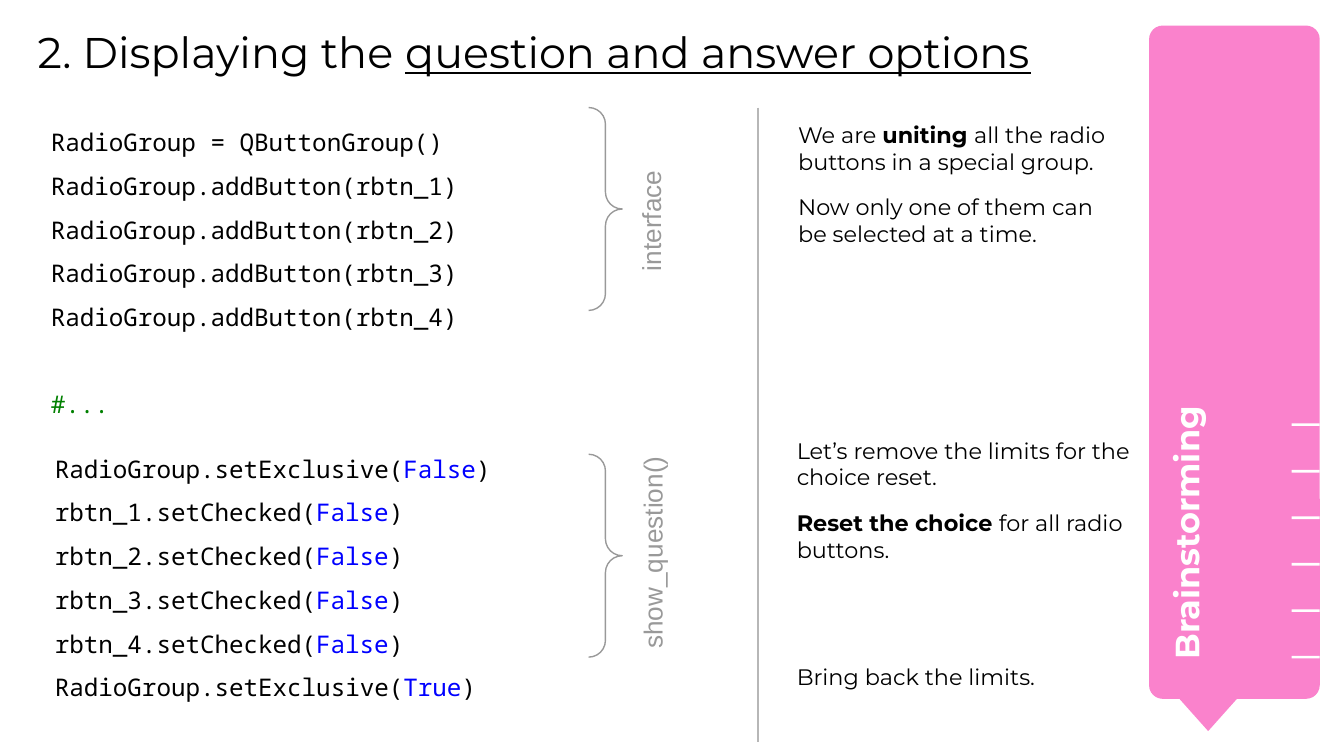
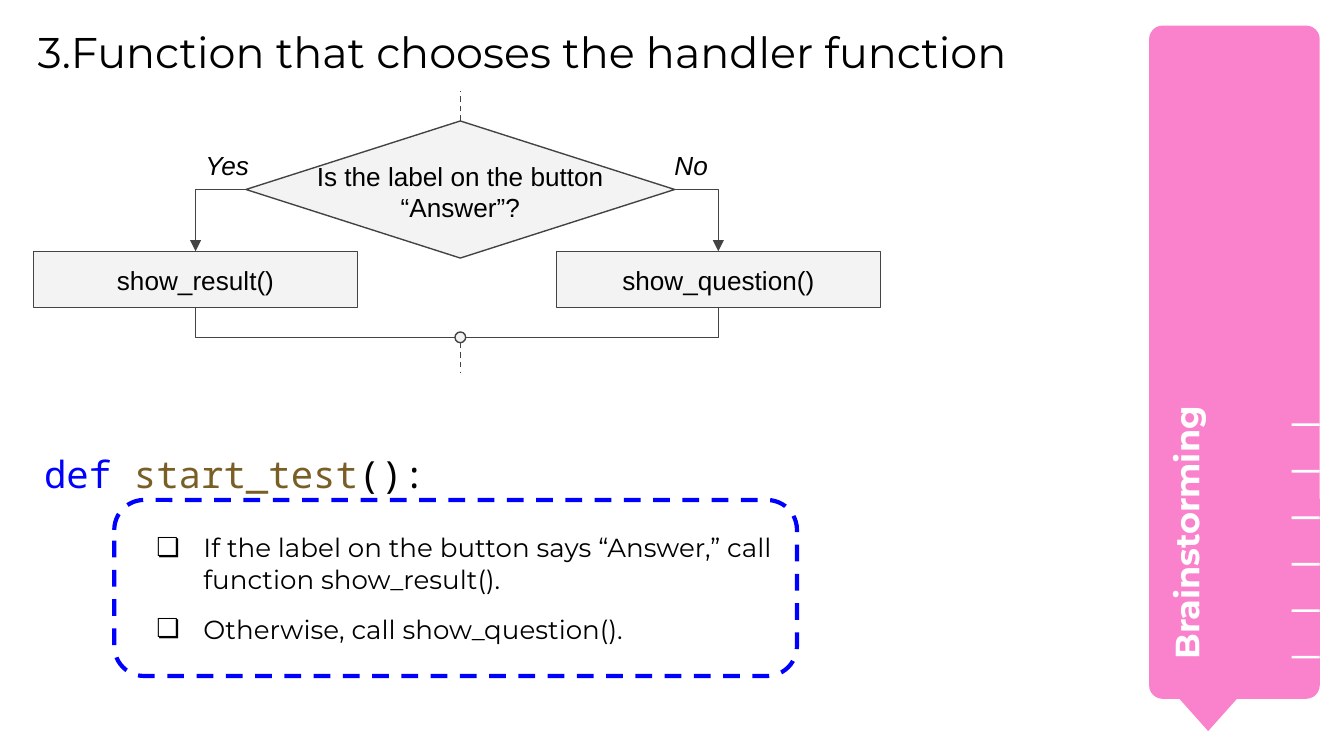
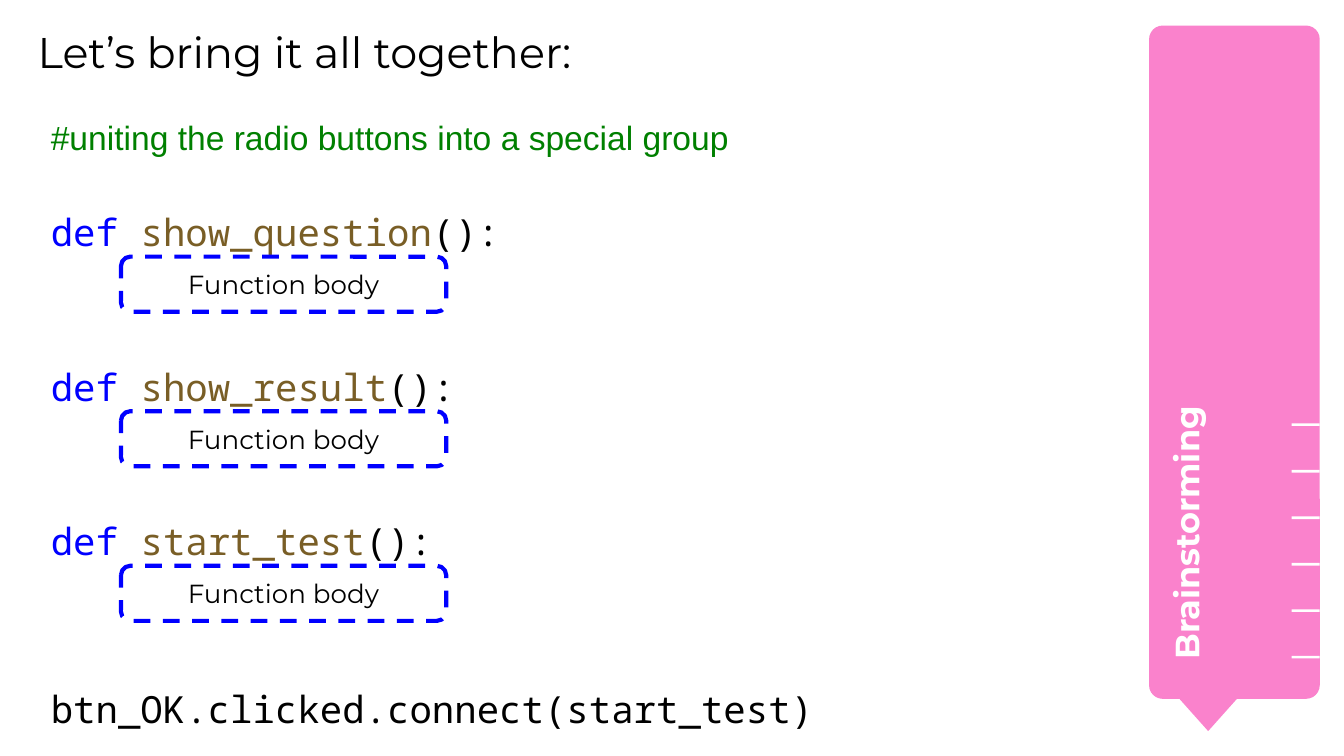
from dataclasses import dataclass
from lxml import etree
from pptx import Presentation
from pptx.dml.color import RGBColor
from pptx.enum.dml import MSO_LINE
from pptx.enum.shapes import MSO_CONNECTOR as CXN, MSO_SHAPE as SHAPE
from pptx.enum.text import MSO_ANCHOR as ANCHOR, PP_ALIGN as ALIGN
from pptx.oxml.ns import qn
from pptx.util import Inches, Pt

SLIDE_W = 10
SLIDE_H = SLIDE_W * 9 / 16
COLORS = {
    "black": "000000", "white": "FFFFFF", "pink": "FA82CC",
    "blue": "0000FF", "brown": "795E26", "green": "008000",
    "grey": "999999", "rule": "B7B7B7", "outline": "434343", "node": "F3F3F3",
}
HEAD, PLAIN, CODE = "Montserrat", "Arial", "Noto Sans Mono"


@dataclass
class Par:
    """A paragraph; runs are strings or (text, style) pairs."""
    runs: list
    before: float = 0
    after: float = 0
    margin: float = 0
    indent: float = 0
    bullet: str = ""


def rgb(name):
    return RGBColor.from_string(COLORS[name])


def sub(parent, tag, **attrs):
    return etree.SubElement(parent, qn(tag), **attrs)


def box(left, top, width, height):
    return [Inches(v) for v in (left, top, width, height)]


def add_run(p, text, font, size, color="black", bold=None, italic=None, underline=None):
    r = p.add_run()
    r.text = text
    f = r.font
    f.name, f.size = font, Pt(size)
    f.bold, f.italic, f.underline = bold, italic, underline
    f.color.rgb = rgb(color)


def format_paragraph(p, par, font, align, spacing):
    p.alignment = align
    p.line_spacing = spacing
    p.space_before, p.space_after = Pt(par.before), Pt(par.after)
    pPr = p._p.get_or_add_pPr()
    pPr.set("marL", str(Inches(par.margin)))
    pPr.set("indent", str(Inches(par.indent)))
    if par.bullet:
        sub(sub(pPr, "a:buClr"), "a:srgbClr", val=COLORS["black"])
        sub(pPr, "a:buFont", typeface=font)
        sub(pPr, "a:buChar", char=par.bullet)


def write(sp, pars, font, size, align=ALIGN.LEFT, spacing=None,
          inset=0.1, anchor=ANCHOR.TOP, **style):
    """Fill a shape with text; style holds the defaults for every run."""
    tf = sp.text_frame
    tf.word_wrap = True
    tf.vertical_anchor = anchor
    tf.margin_left = tf.margin_top = tf.margin_right = tf.margin_bottom = Inches(inset)
    for i, par in enumerate(pars):
        p = tf.add_paragraph() if i else tf.paragraphs[0]
        format_paragraph(p, par, font, align, spacing)
        for run in par.runs:
            text, own = (run, {}) if isinstance(run, str) else run
            add_run(p, text, font, size, **{**style, **own})


def add_text(s, at, pars, font, size, rotation=0, **options):
    sp = s.shapes.add_textbox(*box(*at))
    sp.rotation = rotation
    write(sp, pars, font, size, **options)


def add_box(shapes, kind, at, fill=None, line=None, width=0.75, adj=()):
    sp = shapes.add_shape(kind, *box(*at))
    sp.shadow.inherit = False
    for i, value in enumerate(adj):
        sp.adjustments[i] = value
    if fill:
        sp.fill.solid()
        sp.fill.fore_color.rgb = rgb(fill)
    else:
        sp.fill.background()
    if line:
        sp.line.color.rgb = rgb(line)
        sp.line.width = Pt(width)
    else:
        sp.line.fill.background()
    return sp


def add_line(s, start, end, color="outline", dashed=False, elbow=False, arrow=False):
    """Draw a connector; an elbow runs across first, then up or down."""
    kind = CXN.ELBOW if elbow else CXN.STRAIGHT
    cxn = s.shapes.add_connector(kind, *[Inches(v) for v in (*start, *end)])
    cxn.line.color.rgb = rgb(color)
    cxn.line.width = Pt(0.75)
    if dashed:
        cxn.line.dash_style = MSO_LINE.DASH
    spPr = cxn._element.spPr
    if elbow:
        spPr.find(qn("a:prstGeom")).set("prst", "bentConnector2")
    if arrow:
        sub(cxn.line._get_or_add_ln(), "a:tailEnd", type="triangle")
    sub(spPr, "a:effectLst")
    return cxn


def add_sidebar(s):
    group = s.shapes.add_group_shape()
    add_box(group.shapes, SHAPE.ROUNDED_RECTANGLE, (8.55, 0.19, 1.27, 5.01), "pink", adj=[0.08])
    add_box(group.shapes, SHAPE.FLOWCHART_MERGE, (8.66, 5.07, 0.66, 0.37), "pink")
    first, last, count = 3.15, 4.88, 6
    for i in range(count):
        top = first + i * (last - first) / (count - 1)
        add_box(s.shapes, SHAPE.RECTANGLE, (9.61, top, 0.21, 0.02), "white")
    add_text(s, (7.14, 2.9, 3.54, 0.67), [Par(["Brainstorming"])], HEAD, 18,
             rotation=270, color="white", bold=True)


def add_slide(prs, *title):
    s = prs.slides.add_slide(prs.slide_layouts[6])
    add_sidebar(s)
    add_text(s, (0.28, 0.19, 8.1, 0.56), [Par(title)], HEAD, 23, inset=0)
    return s


def add_brace(s, top, label, label_at):
    add_box(s.shapes, SHAPE.RIGHT_BRACE, (4.38, top, 0.25, 1.51), line="grey", adj=[0.5, 0.5])
    add_text(s, label_at, [Par([label])], PLAIN, 14, rotation=270, color="grey")


def add_def(s, left, top, name):
    runs = [("def ", {"color": "blue"}), (name, {"color": "brown"}), "():"]
    add_text(s, (left, top, 6.07, 0.79), [Par(runs)], CODE, 20, spacing=1.5)


def add_body_box(s, at, pars, align=ALIGN.LEFT):
    """Add the dashed frame that stands for a function body."""
    sp = add_box(s.shapes, SHAPE.ROUNDED_RECTANGLE, at, "white", "blue", 2.25, [0.17])
    sp.line.dash_style = MSO_LINE.DASH
    write(sp, pars, HEAD, 14, align=align, anchor=ANCHOR.MIDDLE)


def add_node(s, at, label):
    sp = add_box(s.shapes, SHAPE.RECTANGLE, at, "node", "outline")
    write(sp, [Par([label])], PLAIN, 14, align=ALIGN.CENTER, anchor=ANCHOR.MIDDLE)
    return sp


def setter(call, value):
    return Par([f"{call}(", (value, {"color": "blue"}), ")"], margin=0.11)


def build_display_slide(prs):
    s = add_slide(prs, "2. Displaying the ", ("question and answer options", {"underline": True}))
    bold = {"bold": True}
    add_text(s, (5.84, 0.8, 2.54, 1.54), [
        Par(["We are ", ("uniting ", bold), "all the radio buttons in a special group."]),
        Par(["Now only one of them can be selected at a time."], before=10),
    ], HEAD, 12)
    add_line(s, (5.64, 0.8), (5.64, 5.52), "rule")

    buttons = [f"rbtn_{n}" for n in range(1, 5)]
    reset = [setter("RadioGroup.setExclusive", "False")]
    reset += [setter(f"{b}.setChecked", "False") for b in buttons]
    reset += [setter("RadioGroup.setExclusive", "True")]
    add_text(s, (0.2, 3.17, 4.18, 1.87), reset, CODE, 13, spacing=1.5)
    add_text(s, (5.83, 3.15, 2.71, 2.04), [
        Par(["Let’s remove the limits for the choice reset."]),
        Par([("Reset the choice ", bold), "for all radio buttons."], before=10),
        Par(["Bring back the limits."], before=53.5),
    ], HEAD, 12)

    grouping = [Par(["RadioGroup = QButtonGroup()"])]
    grouping += [Par([f"RadioGroup.addButton({b})"]) for b in buttons]
    grouping += [Par([("#...", {"color": "green"})], before=23.4)]
    add_text(s, (0.28, 0.74, 3.48, 2.41), grouping, CODE, 13, spacing=1.5)

    add_brace(s, 0.8, "interface", (4.17, 1.2, 1.37, 0.46))
    add_brace(s, 3.38, "show_question()", (4.01, 3.84, 1.71, 0.46))


def build_handler_slide(prs):
    s = add_slide(prs, "3.Function that chooses the handler function")
    left, top, width, height = 1.83, 0.9, 3.19, 1.02
    axis, middle = left + width / 2, top + height / 2
    node_top, node_w, node_h = 1.87, 2.41, 0.42
    join_y, radius = 2.51, 0.04

    decision = add_box(s.shapes, SHAPE.FLOWCHART_DECISION, (left, top, width, height),
                       "node", "outline")
    add_text(s, (2.19, 1.09, 2.47, 0.63), [Par(["Is the label on the button “Answer”?"])],
             PLAIN, 14, align=ALIGN.CENTER)

    branches = [
        ("show_result()", 0.25, left, 1, axis - radius),
        ("show_question()", 4.14, left + width, 3, axis + radius),
    ]
    for label, node_left, corner, site, join_x in branches:
        node = add_node(s, (node_left, node_top, node_w, node_h), label)
        center = node_left + node_w / 2
        cxn = add_line(s, (corner, middle), (center, node_top), elbow=True, arrow=True)
        cxn.begin_connect(decision, site)
        cxn.end_connect(node, 0)
        cxn = add_line(s, (join_x, join_y), (center, node_top + node_h), elbow=True)
        cxn.end_connect(node, 2)

    entry = add_line(s, (axis, top), (axis, 0.68), dashed=True)
    entry.begin_connect(decision, 0)
    add_box(s.shapes, SHAPE.OVAL, (axis - radius, join_y - radius, 2 * radius, 2 * radius),
            "node", "outline")
    add_line(s, (axis, join_y + radius), (axis, 2.77), dashed=True)
    for label, x, w in (("Yes", 1.43, 0.59), ("No", 4.92, 0.67)):
        add_text(s, (x, 1.01, w, 0.42), [Par([label])], PLAIN, 14, italic=True)

    add_def(s, 0.23, 3.09, "start_test")
    bullet = {"margin": 0.5, "indent": -0.35, "bullet": "❏"}
    add_body_box(s, (0.85, 3.72, 5.08, 1.31), [
        Par(["If the label on the button says “Answer,” call function show_result()."], **bullet),
        Par(["Otherwise, call show_question()."], before=10, after=10, **bullet),
    ])


def build_summary_slide(prs):
    s = add_slide(prs, "Let’s bring it all together:")
    add_text(s, (0.28, 0.77, 5.66, 0.63),
             [Par(["#uniting the radio buttons into a special group"])], PLAIN, 18, color="green")
    for i, name in enumerate(["show_question", "show_result", "start_test"]):
        top = 1.29 + 1.15 * i
        add_def(s, 0.28, top, name)
        add_body_box(s, (0.9, top + 0.62, 2.42, 0.41),
                     [Par(["Function body"], after=10)], ALIGN.CENTER)
    add_text(s, (0.28, 4.84, 6.07, 0.79), [Par(["btn_OK.clicked.connect(start_test)"])],
             CODE, 20, spacing=1.5)


def main():
    prs = Presentation()
    prs.slide_width, prs.slide_height = Inches(SLIDE_W), Inches(SLIDE_H)
    build_display_slide(prs)
    build_handler_slide(prs)
    build_summary_slide(prs)
    prs.save("out.pptx")


if __name__ == "__main__":
    main()
